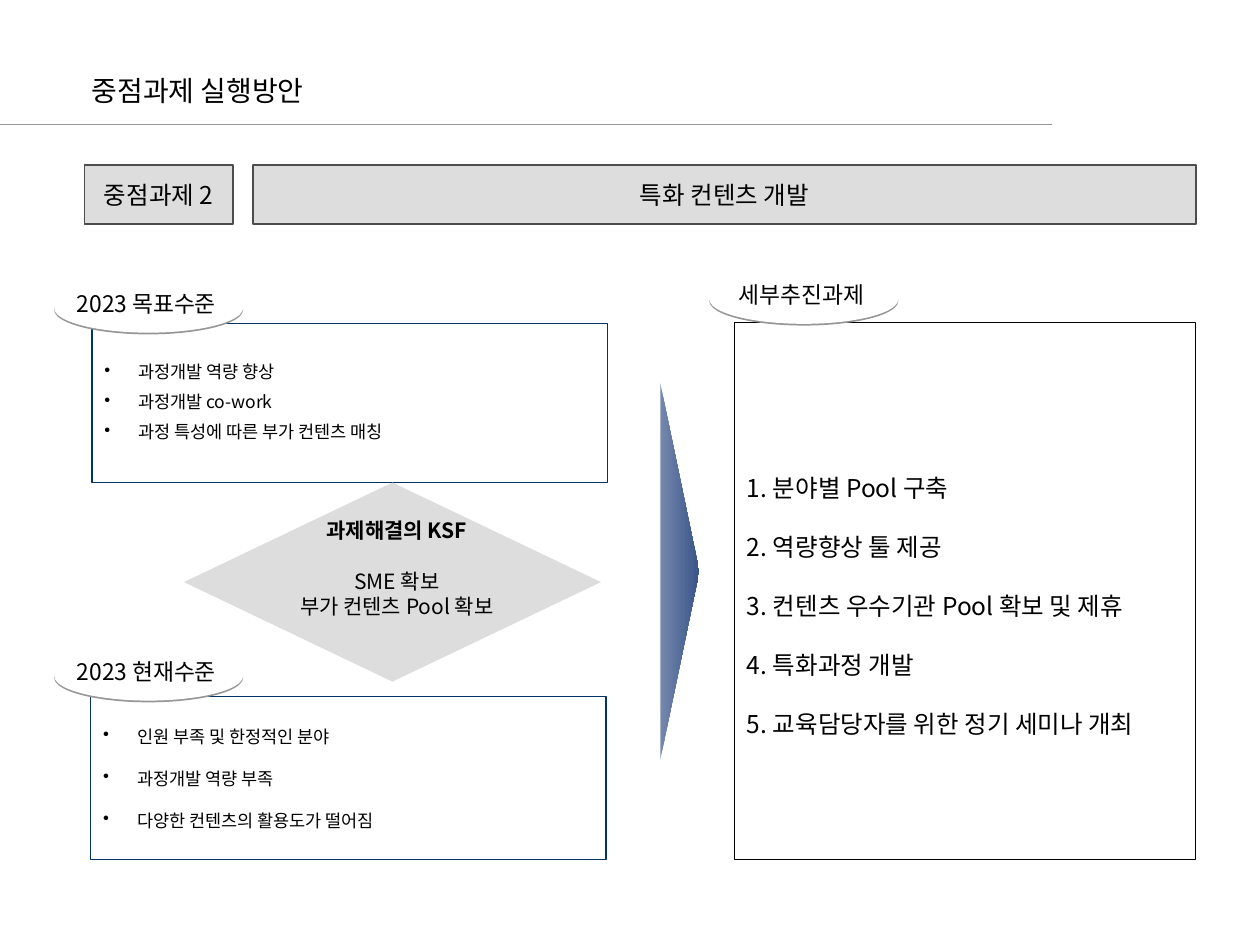
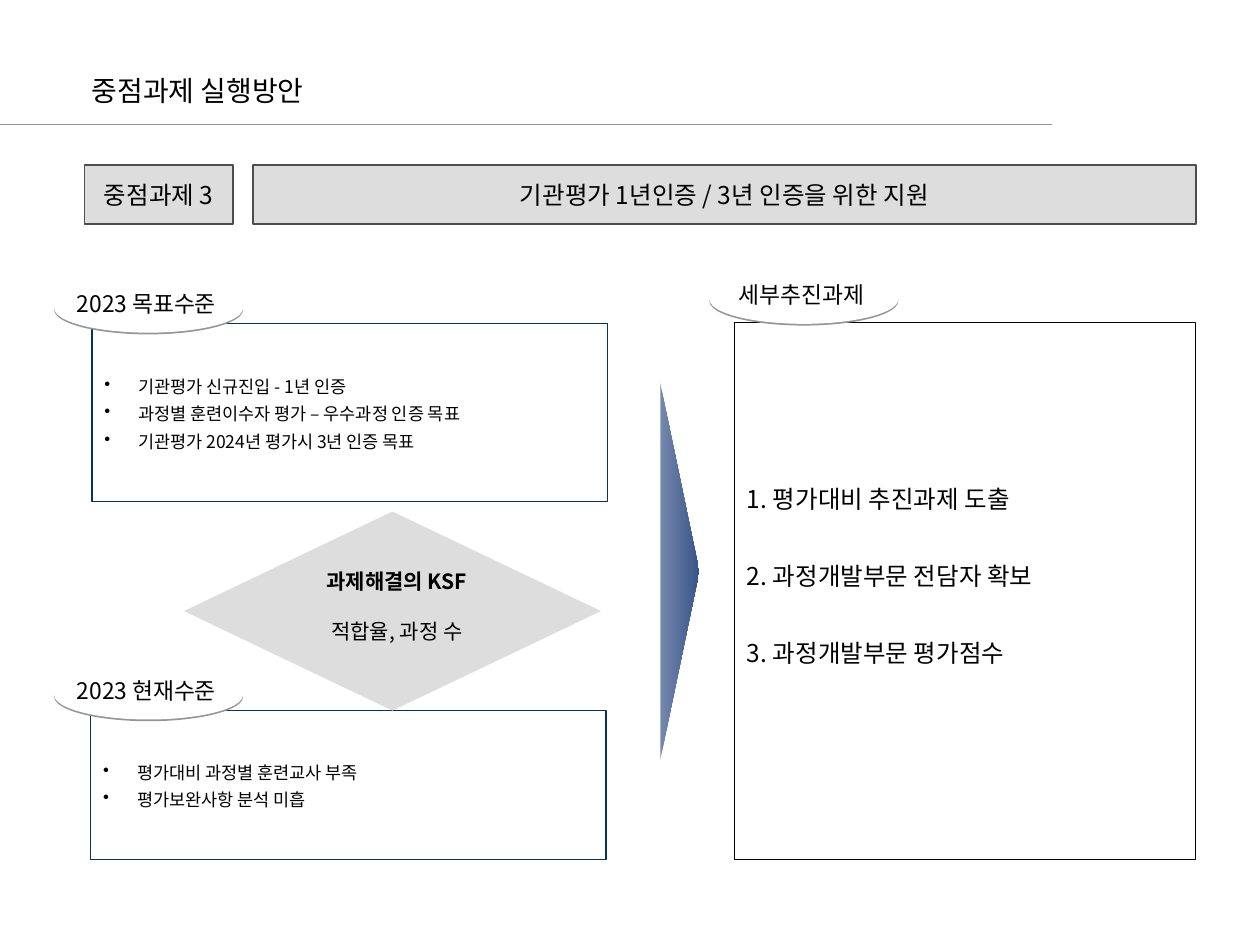
from lxml import etree
from pptx import Presentation
from pptx.dml.color import RGBColor
from pptx.enum.shapes import MSO_CONNECTOR, MSO_SHAPE
from pptx.enum.text import MSO_ANCHOR, PP_ALIGN
from pptx.oxml.ns import qn
from pptx.util import Inches, Pt

RECTANGLE, OVAL = MSO_SHAPE.RECTANGLE, MSO_SHAPE.OVAL
TRIANGLE, UP_DOWN_ARROW = MSO_SHAPE.ISOSCELES_TRIANGLE, MSO_SHAPE.UP_DOWN_ARROW
LEFT, CENTER = PP_ALIGN.LEFT, PP_ALIGN.CENTER
TOP, MIDDLE = MSO_ANCHOR.TOP, MSO_ANCHOR.MIDDLE

FONT = "Noto Sans CJK KR"
BLACK = RGBColor(0x00, 0x00, 0x00)
WHITE = RGBColor(0xFF, 0xFF, 0xFF)
LIGHT_GRAY = RGBColor(0xDD, 0xDD, 0xDD)
MID_GRAY = RGBColor(0x96, 0x96, 0x96)
DARK_GRAY = RGBColor(0x4D, 0x4D, 0x4D)
NAVY = RGBColor(0x00, 0x33, 0x66)
PALE_BLUE = RGBColor(0x75, 0x88, 0xAD)
DEEP_BLUE = RGBColor(0x39, 0x54, 0x89)

# Level boxes hold (top, height, line spacing, space before, lines).
SLIDES = [
    {
        "number": 2,
        "topic": "특화 컨텐츠 개발",
        "target": (2.57, 1.26, 0.9, 6.2, [
            "과정개발 역량 향상",
            "과정개발 co-work",
            "과정 특성에 따른 부가 컨텐츠 매칭",
        ]),
        "current": (5.53, 1.29, 1.0, 12, [
            "인원 부족 및 한정적인 분야",
            "과정개발 역량 부족",
            "다양한 컨텐츠의 활용도가 떨어짐",
        ]),
        "current_label_top": 5.17,
        "arrow_top": 3.83,
        "factors_top": 4.06,
        "factors_height": 1.1,
        "factors": ["SME 확보", "부가 컨텐츠 Pool 확보"],
        "task_spacing": (2.0, 0),
        "task_bottom_inset": 0.05,
        "tasks": [
            "분야별 Pool 구축",
            "역량향상 툴 제공",
            "컨텐츠 우수기관 Pool 확보 및 제휴",
            "특화과정 개발",
            "교육담당자를 위한 정기 세미나 개최",
        ],
    },
    {
        "number": 3,
        "topic": "기관평가 1년인증 / 3년 인증을 위한 지원",
        "target": (2.57, 1.41, 1.1, 2.5, [
            "기관평가 신규진입 - 1년 인증",
            "과정별 훈련이수자 평가 – 우수과정 인증 목표",
            "기관평가 2024년 평가시 3년 인증 목표",
        ]),
        "current": (5.64, 1.18, 1.1, 2.5, [
            "평가대비 과정별 훈련교사 부족",
            "평가보완사항 분석 미흡",
        ]),
        "current_label_top": 5.32,
        "arrow_top": 4.06,
        "factors_top": 4.46,
        "factors_height": 0.7,
        "factors": ["적합율, 과정 수"],
        "task_spacing": (1.1, 25.5),
        "task_bottom_inset": 0.31,
        "tasks": [
            "평가대비 추진과제 도출",
            "과정개발부문 전담자 확보",
            "과정개발부문 평가점수",
        ],
    },
]


def add_box(slide, kind, left, top, width, height, fill=None, line=None, weight=0.75):
    shape = slide.shapes.add_shape(
        kind, Inches(left), Inches(top), Inches(width), Inches(height))
    shape.shadow.inherit = False
    if fill is None:
        shape.fill.background()
    else:
        shape.fill.solid()
        shape.fill.fore_color.rgb = fill
    if line is None:
        shape.line.fill.background()
    else:
        shape.line.color.rgb = line
        shape.line.width = Pt(weight)
    return shape


def write_text(shape, lines, size, alignment=LEFT, anchor=MIDDLE, wrap=True,
               line_spacing=1.0, space_before=0, hanging=0, bullet=False):
    """Fill the shape with one paragraph per line, spaced from the second on."""
    frame = shape.text_frame
    frame.word_wrap = wrap
    frame.vertical_anchor = anchor
    for index, line in enumerate(lines):
        paragraph = frame.add_paragraph() if index else frame.paragraphs[0]
        paragraph.text = line
        paragraph.alignment = alignment
        paragraph.line_spacing = line_spacing
        paragraph.space_before = Pt(space_before if index else 0)
        properties = paragraph._p.get_or_add_pPr()
        if hanging:
            properties.set("marL", str(Inches(hanging)))
            properties.set("indent", str(-Inches(hanging)))
        if bullet:
            etree.SubElement(properties, qn("a:buChar"), char="•")
        paragraph.font.size = Pt(size)
        paragraph.font.color.rgb = BLACK
        paragraph.font.name = FONT
        etree.SubElement(properties.find(qn("a:defRPr")), qn("a:ea"), typeface=FONT)
    return frame


presentation = Presentation()
presentation.slide_width = Inches(10)
presentation.slide_height = Inches(7.5)
title_only = presentation.slide_layouts[5]

for content in SLIDES:
    slide = presentation.slides.add_slide(title_only)

    # Title and rule
    title = slide.shapes.title
    title.left, title.top = Inches(0.63), Inches(0.5)
    title.width, title.height = Inches(1.89), Inches(0.4)
    write_text(title, ["중점과제 실행방안"], 16, wrap=False, line_spacing=1.1)
    rule = slide.shapes.add_connector(
        MSO_CONNECTOR.STRAIGHT, 0, Inches(0.99), Inches(8.35), Inches(0.99))
    rule.line.color.rgb = MID_GRAY
    rule.line.width = Pt(0.75)
    etree.SubElement(rule._element.spPr, qn("a:effectLst"))

    # Topic band
    for left, width, text in [(2.01, 7.48, content["topic"]),
                              (0.67, 1.18, f"중점과제 {content['number']}")]:
        band = add_box(slide, RECTANGLE, left, 1.31, width, 0.47, LIGHT_GRAY, DARK_GRAY, 1)
        write_text(band, [text], 14, CENTER, wrap=False)

    # Current and target levels
    for left, level in [(0.72, "current"), (0.73, "target")]:
        top, height, line_spacing, space_before, lines = content[level]
        box = add_box(slide, RECTANGLE, left, top, 4.09, height, WHITE, NAVY)
        write_text(box, lines, 10, line_spacing=line_spacing,
                   space_before=space_before, hanging=0.27, bullet=True)

    # Pointer to the detailed tasks; its gradient turns with the shape
    pointer = add_box(slide, TRIANGLE, 3.9, 4.38, 2.99, 0.31)
    pointer.rotation = 90
    pointer.fill.gradient()
    pointer.fill.gradient_angle = 90
    for stop, color in zip(pointer.fill.gradient_stops, (PALE_BLUE, DEEP_BLUE)):
        stop.color.rgb = color

    # Detailed tasks
    task_box = add_box(slide, RECTANGLE, 5.83, 2.56, 3.66, 4.26, line=BLACK)
    line_spacing, space_before = content["task_spacing"]
    tasks = [f"{number}. {task}" for number, task in enumerate(content["tasks"], 1)]
    frame = write_text(task_box, tasks, 14, line_spacing=line_spacing,
                       space_before=space_before, hanging=0.21)
    frame.margin_bottom = Inches(content["task_bottom_inset"])

    # Box labels on ovals with a thin lower shadow
    for left, top, text in [(0.43, content["current_label_top"], "2023 현재수준"),
                            (0.43, 2.25, "2023 목표수준"),
                            (5.63, 2.18, "세부추진과제")]:
        oval = add_box(slide, OVAL, left, top, 1.5, 0.39, WHITE)
        effects = oval._element.spPr.find(qn("a:effectLst"))
        shadow = etree.SubElement(effects, qn("a:outerShdw"), blurRad="0",
                                  dist=str(Pt(1)), dir="5400000", algn="ctr",
                                  rotWithShape="0")
        etree.SubElement(shadow, qn("a:srgbClr"), val=str(MID_GRAY))
        label = slide.shapes.add_textbox(
            Inches(left - 0.37), Inches(top), Inches(2.28), Inches(0.32))
        label.text_frame.margin_left = Inches(0.02)
        write_text(label, [text], 13, CENTER, TOP, wrap=False)

    # Key success factors
    arrow = add_box(slide, UP_DOWN_ARROW, 1.46, content["arrow_top"], 3.31, 1.58, LIGHT_GRAY)
    arrow.adjustments[0] = 0.742
    arrow.adjustments[1] = 0.208
    factor_box = slide.shapes.add_textbox(
        Inches(1.93), Inches(content["factors_top"]),
        Inches(2.44), Inches(content["factors_height"]))
    frame = write_text(factor_box, ["과제해결의 KSF", *content["factors"]], 12, CENTER, TOP)
    frame.paragraphs[0].font.bold = True
    frame.paragraphs[1].space_before = Pt(14.4)

presentation.save("out.pptx")
